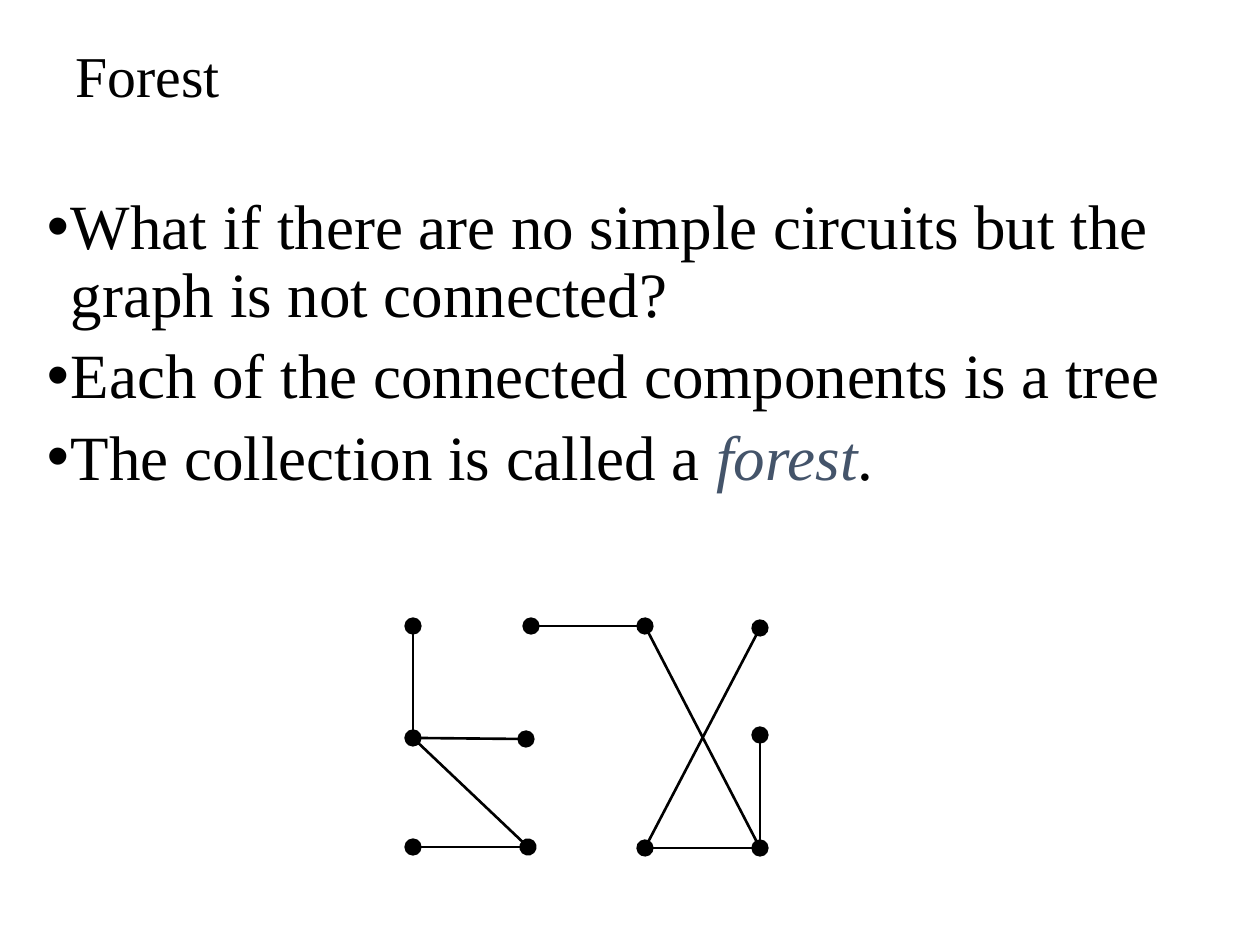
from lxml import etree
from pptx import Presentation
from pptx import util as u
from pptx.dml.color import RGBColor
from pptx.enum import shapes, text
from pptx.oxml.ns import qn

PX = 914400 // 126
FONT, INK, BLUE = "Times New Roman", "000000", "44546A"

TITLE = "Forest"
POINTS = [
    ["What if there are no simple circuits but the graph is not connected?"],
    ["Each of the connected components is a tree"],
    ["The collection is called a ", "forest", "."],
]
TERM = "forest"

NODES = {
    "a": (413, 626), "b": (413, 738), "c": (526, 739),
    "d": (528, 847), "e": (413, 847),
    "f": (531, 626), "g": (645, 626), "h": (760, 848),
    "i": (760, 735), "j": (645, 848), "k": (760, 628),
}
EDGES = ["bc", "ba", "bd", "de", "jk", "hj", "hi", "gh", "gf"]


def px(*vals):
    return [u.Emu(v * PX) for v in vals]


def rgb(code):
    return RGBColor.from_string(code)


def style(run, size, color=INK):
    run.font.name = FONT
    run.font.size = u.Pt(size)
    run.font.color.rgb = rgb(color)


def bullet(para, hang):
    props = para._p.get_or_add_pPr()
    props.set("marL", str(hang * PX))
    props.set("indent", str(-hang * PX))
    tint = etree.SubElement(props, qn("a:buClr"))
    etree.SubElement(tint, qn("a:srgbClr"), val=INK)
    etree.SubElement(props, qn("a:buFont"), typeface="Arial")
    etree.SubElement(props, qn("a:buChar"), char="•")


def link(slide, start, end, dots):
    line = slide.shapes.add_connector(
        shapes.MSO_CONNECTOR.STRAIGHT, *px(*NODES[start], *NODES[end]))
    line.line.color.rgb = rgb(INK)
    line.line.width = u.Pt(1.5)
    pen = line.line._get_or_add_ln()
    for node, tag in ((start, "a:headEnd"), (end, "a:tailEnd")):
        if node in dots:
            etree.SubElement(pen, qn(tag), type="oval", w="lg", len="lg")
            dots.remove(node)
    etree.SubElement(line._element.spPr, qn("a:effectLst"))


def main():
    deck = Presentation()
    deck.slide_width, deck.slide_height = u.Inches(10), u.Inches(7.5)
    slide = deck.slides.add_slide(deck.slide_layouts[5])

    head = slide.shapes.title
    head.left, head.top, head.width, head.height = px(63, 21, 1134, 116)
    frame = head.text_frame
    frame.text = TITLE
    frame.vertical_anchor = text.MSO_ANCHOR.MIDDLE
    para = frame.paragraphs[0]
    para.alignment = text.PP_ALIGN.LEFT
    para.line_spacing = 0.9
    style(para.runs[0], 33)

    body = slide.shapes.add_textbox(*px(47, 189, 1181, 378)).text_frame
    body.word_wrap = True
    body.margin_left = body.margin_right = 0
    for i, parts in enumerate(POINTS):
        para = body.add_paragraph() if i else body.paragraphs[0]
        para.line_spacing = 0.9
        if i:
            para.space_before = u.Pt(7.5)
        bullet(para, 24)
        for part in parts:
            run = para.add_run()
            run.text = part
            style(run, 36, BLUE if part == TERM else INK)
            if part == TERM:
                run.font.italic = True

    dots = set(NODES)
    for start, end in EDGES:
        link(slide, start, end, dots)

    deck.save("out.pptx")


if __name__ == "__main__":
    main()
